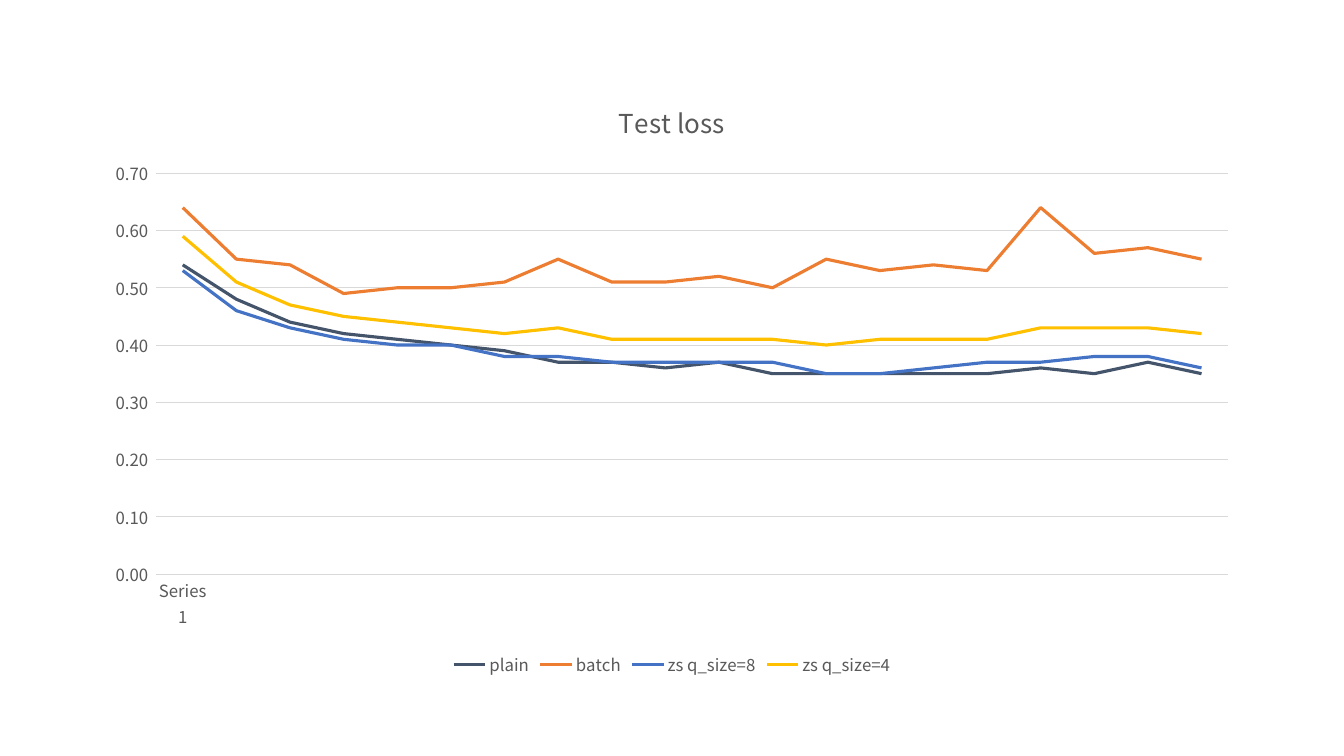
from pptx import Presentation
from pptx.chart.data import CategoryChartData
from pptx.dml.color import RGBColor
from pptx.enum.chart import XL_CHART_TYPE, XL_LEGEND_POSITION, XL_MARKER_STYLE, XL_TICK_MARK
from pptx.util import Pt

FONT = "Noto Sans CJK KR"
NUMBER_FORMAT = r"#,##0.00_);[Red]\(#,##0.00\)"
COLORS = {
    "text": "595959",
    "grid": "D9D9D9",
    "plain": "44546A",
    "batch": "ED7D31",
    "zs q_size=8": "4472C4",
    "zs q_size=4": "FFC000",
}
LOSSES = {
    "plain": [0.54, 0.48, 0.44, 0.42, 0.41, 0.40, 0.39, 0.37, 0.37, 0.36,
              0.37, 0.35, 0.35, 0.35, 0.35, 0.35, 0.36, 0.35, 0.37, 0.35],
    "batch": [0.64, 0.55, 0.54, 0.49, 0.50, 0.50, 0.51, 0.55, 0.51, 0.51,
              0.52, 0.50, 0.55, 0.53, 0.54, 0.53, 0.64, 0.56, 0.57, 0.55],
    "zs q_size=8": [0.53, 0.46, 0.43, 0.41, 0.40, 0.40, 0.38, 0.38, 0.37, 0.37,
                    0.37, 0.37, 0.35, 0.35, 0.36, 0.37, 0.37, 0.38, 0.38, 0.36],
    "zs q_size=4": [0.59, 0.51, 0.47, 0.45, 0.44, 0.43, 0.42, 0.43, 0.41, 0.41,
                    0.41, 0.41, 0.40, 0.41, 0.41, 0.41, 0.43, 0.43, 0.43, 0.42],
}


def style_font(font, size):
    font.name = FONT
    font.size = Pt(size)
    font.bold = False
    font.color.rgb = RGBColor.from_string(COLORS["text"])


def style_line(line, color, width):
    line.color.rgb = RGBColor.from_string(COLORS[color])
    line.width = Pt(width)


deck = Presentation()
deck.slide_width = Pt(960)
deck.slide_height = Pt(540)
page = deck.slides.add_slide(deck.slide_layouts[6])

# Only the first category has a label
data = CategoryChartData(number_format=NUMBER_FORMAT)
data.categories = ["Series 1"] + [""] * (len(LOSSES["plain"]) - 1)
for name, losses in LOSSES.items():
    data.add_series(name, losses)

chart = page.shapes.add_chart(
    XL_CHART_TYPE.LINE, Pt(66), Pt(55.5), Pt(828), Pt(431), data
).chart
style_font(chart.font, 12)

chart.has_title = True
title_run = chart.chart_title.text_frame.paragraphs[0].add_run()
title_run.text = "Test loss"
style_font(title_run.font, 18.6)
chart.chart_title.include_in_layout = False

chart.has_legend = True
chart.legend.position = XL_LEGEND_POSITION.BOTTOM
chart.legend.include_in_layout = False
style_font(chart.legend.font, 12)

for axis in (chart.category_axis, chart.value_axis):
    axis.major_tick_mark = XL_TICK_MARK.NONE
    axis.minor_tick_mark = XL_TICK_MARK.NONE
    style_font(axis.tick_labels.font, 12)
style_line(chart.category_axis.format.line, "grid", 0.75)

loss_axis = chart.value_axis
loss_axis.minimum_scale = 0
loss_axis.maximum_scale = 0.7
loss_axis.major_unit = 0.1
loss_axis.tick_labels.number_format = NUMBER_FORMAT
loss_axis.tick_labels.number_format_is_linked = False
loss_axis.format.line.fill.background()
style_line(loss_axis.major_gridlines.format.line, "grid", 0.75)

plot = chart.plots[0]
plot.vary_by_categories = False
for series in plot.series:
    series.smooth = False
    series.marker.style = XL_MARKER_STYLE.NONE
    style_line(series.format.line, series.name, 2.25)

deck.save("out.pptx")
